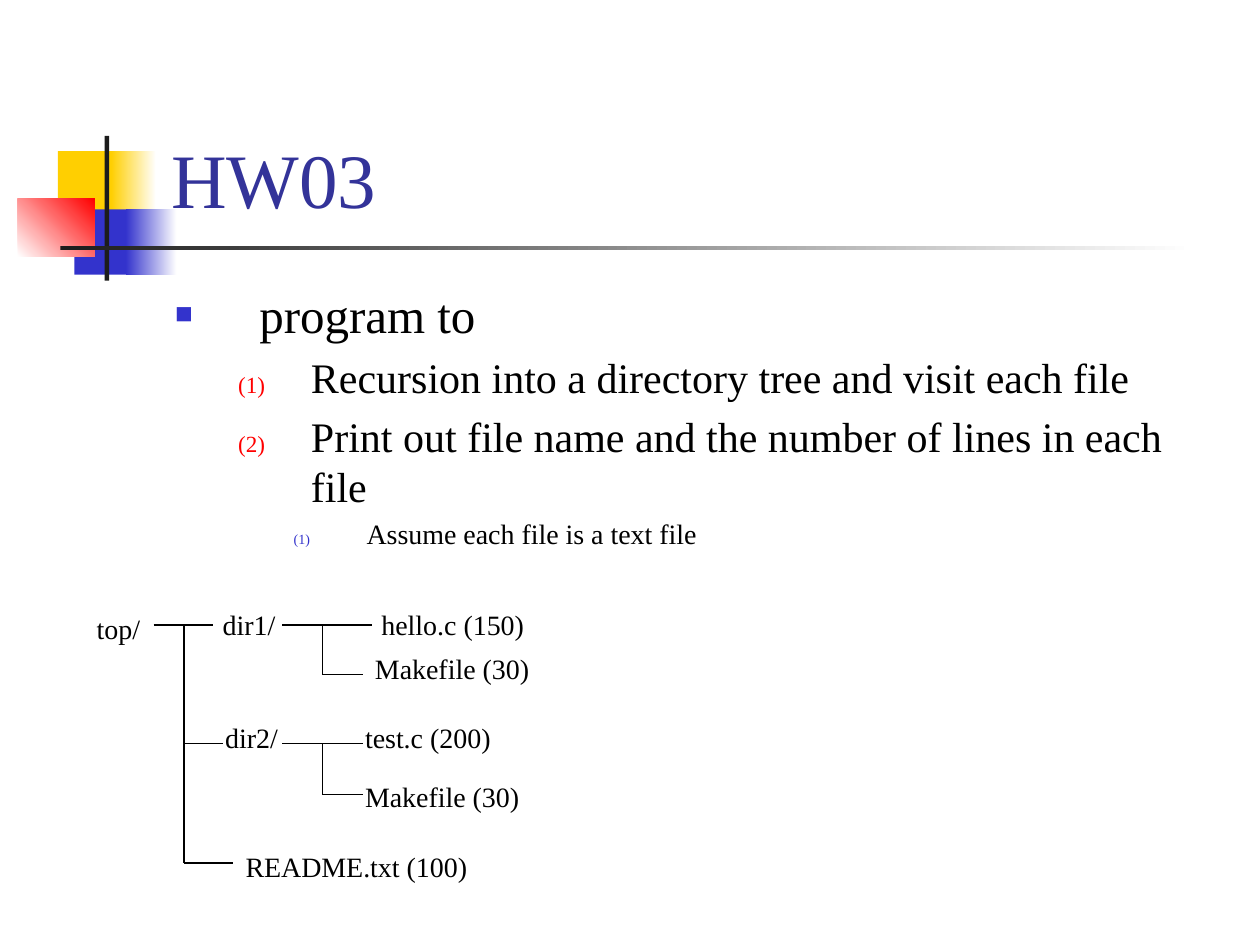
from lxml.etree import SubElement as Sub
from pptx import Presentation
from pptx.dml.color import RGBColor
from pptx.enum.shapes import MSO_CONNECTOR as Conn, MSO_SHAPE as Shape
from pptx.enum.text import MSO_ANCHOR as Anchor, MSO_AUTO_SIZE as Fit
from pptx.oxml.ns import qn
from pptx.util import Cm, Pt

FONT = "Times New Roman"
BLACK, WHITE, DARK = "000000", "FFFFFF", "1C1C1C"
GOLD, BLUE, RED, NAVY = "FFCF01", "3333CC", "FF0000", "333399"


def tint(code):
    """Turn a hex string into a colour."""
    return RGBColor.from_string(code)


def style(obj, **vals):
    """Set each given format value on an object."""
    for name, val in vals.items():
        setattr(obj, name, val)


def write(para, text, size, color=BLACK):
    """Add one run of text to a paragraph."""
    run = para.add_run()
    run.text = text
    style(run.font, name=FONT, size=Pt(size))
    run.font.color.rgb = tint(color)


def frame(shapes, box, **vals):
    """Add a text box and return its text frame."""
    text = shapes.add_textbox(*map(Cm, box)).text_frame
    style(text, **vals)
    return text


def block(shapes, box, colors, angle=0):
    """Add a rectangle with a plain or gradient fill."""
    rect = shapes.add_shape(Shape.RECTANGLE, *map(Cm, box))
    rect.shadow.inherit = False
    rect.line.fill.background()
    if len(colors) == 1:
        rect.fill.solid()
        rect.fill.fore_color.rgb = tint(colors[0])
        return
    rect.fill.gradient()
    rect.fill.gradient_angle = angle
    for stop, code in zip(rect.fill.gradient_stops, colors):
        stop.color.rgb = tint(code)


def badge(shapes, left, top):
    """Draw the coloured squares and the two rules."""
    parts = [
        (0.81, 0.31, 1.22, 1.32, [GOLD], 0),
        (1.88, 0.31, 0.91, 1.32, [GOLD, WHITE], 0),
        (1.14, 1.48, 1.17, 1.32, [BLUE], 0),
        (2.18, 1.48, 1.02, 1.32, [BLUE, WHITE], 0),
        (0, 1.27, 1.55, 1.17, [WHITE, RED], 45),
        (1.75, 0, 0.09, 2.92, [DARK], 0),
        (0.86, 2.21, 22.86, 0.09, [DARK, WHITE], 0),
    ]
    for x, y, wide, high, colors, angle in parts:
        block(shapes, (left + x, top + y, wide, high), colors, angle)


def title(shapes, box, text):
    """Write the title at the foot of its box."""
    area = frame(shapes, box, word_wrap=True, vertical_anchor=Anchor.BOTTOM)
    write(area.paragraphs[0], text, 44, NAVY)


def bullet(para, level, left, hang, color, scale):
    """Give a paragraph its indent, spacing and marker."""
    para.level = level
    props = para._p.get_or_add_pPr()
    props.set("marL", str(Cm(left)))
    props.set("indent", str(-Cm(hang)))
    Sub(Sub(props, qn("a:spcBef")), qn("a:spcPct"), val="20000")
    Sub(Sub(props, qn("a:buClr")), qn("a:srgbClr"), val=color)
    Sub(props, qn("a:buSzPct"), val=str(scale * 1000))
    Sub(props, qn("a:buFont"), typeface=FONT)
    if level:
        Sub(props, qn("a:buAutoNum"), type="arabicParenBoth")
    else:
        Sub(props, qn("a:buChar"), char="■")


def body(shapes, box, items):
    """Write the outline with one format for each level."""
    forms = [(28, 1.7, 1.7, BLUE, 60), (24, 2.74, 1.47, RED, 55), (16, 3.86, 1.47, BLUE, 50)]
    area = frame(shapes, box, word_wrap=True)
    for num, (level, text) in enumerate(items):
        para = area.add_paragraph() if num else area.paragraphs[0]
        size, *marks = forms[level]
        bullet(para, level, *marks)
        write(para, text, size)


def line(shapes, *ends):
    """Draw a thin black line between two points."""
    link = shapes.add_connector(Conn.STRAIGHT, *map(Cm, ends))
    link.line.width = Pt(0.75)
    link.line.color.rgb = tint(BLACK)
    Sub(link._element.spPr, qn("a:effectLst"))


def fork(shapes, start, trunk, tips):
    """Draw a stem, its trunk and a branch to each tip."""
    first, last = tips[0][1], tips[-1][1]
    line(shapes, trunk, first, trunk, last)
    for num, (end, y) in enumerate(tips):
        line(shapes, trunk if num else start, y, end, y)


def tree(shapes, left, top):
    """Draw the directory tree as one group."""
    group = shapes.add_group_shape().shapes
    names = [
        ("top/", 0, 0.08, 1.4),
        ("dir1/", 2.54, 0, 1.57),
        ("hello.c (150)", 5.74, 0, 3.4),
        ("Makefile (30)", 5.61, 0.89, 3.63),
        ("dir2/", 2.59, 2.29, 1.57),
        ("test.c (200)", 5.41, 2.29, 3.05),
        ("Makefile (30)", 5.41, 3.48, 3.63),
        ("README.txt (100)", 3, 4.88, 5),
    ]
    for text, x, y, wide in names:
        box = (left + x, top + y, wide, 0.94)
        area = frame(group, box, word_wrap=False, auto_size=Fit.SHAPE_TO_FIT_TEXT)
        write(area.paragraphs[0], text, 16)
    forks = [
        (1.4, 2.01, [(2.59, 0.48), (2.79, 2.87), (3, 5.28)]),
        (3.99, 4.8, [(5.79, 0.48), (5.61, 1.47)]),
        (3.99, 4.8, [(5.61, 2.87), (5.61, 3.89)]),
    ]
    for start, trunk, tips in forks:
        spots = [(left + x, top + y) for x, y in tips]
        fork(group, left + start, left + trunk, spots)


def main():
    """Build the slide and save it."""
    deck = Presentation()
    style(deck, slide_width=Cm(25.4), slide_height=Cm(19.05))
    shapes = deck.slides.add_slide(deck.slide_layouts[6]).shapes
    badge(shapes, 0.36, 2.74)
    title(shapes, (3.2, 0.58, 21.64, 4.06), "HW03")
    body(shapes, (3.28, 5.61, 21.59, 5.72), [
        (0, "program to"),
        (1, "Recursion into a directory tree and visit each file"),
        (1, "Print out file name and the number of lines in each file"),
        (2, "Assume each file is a text file"),
    ])
    tree(shapes, 1.7, 12.12)
    deck.save("out.pptx")


if __name__ == "__main__":
    main()
